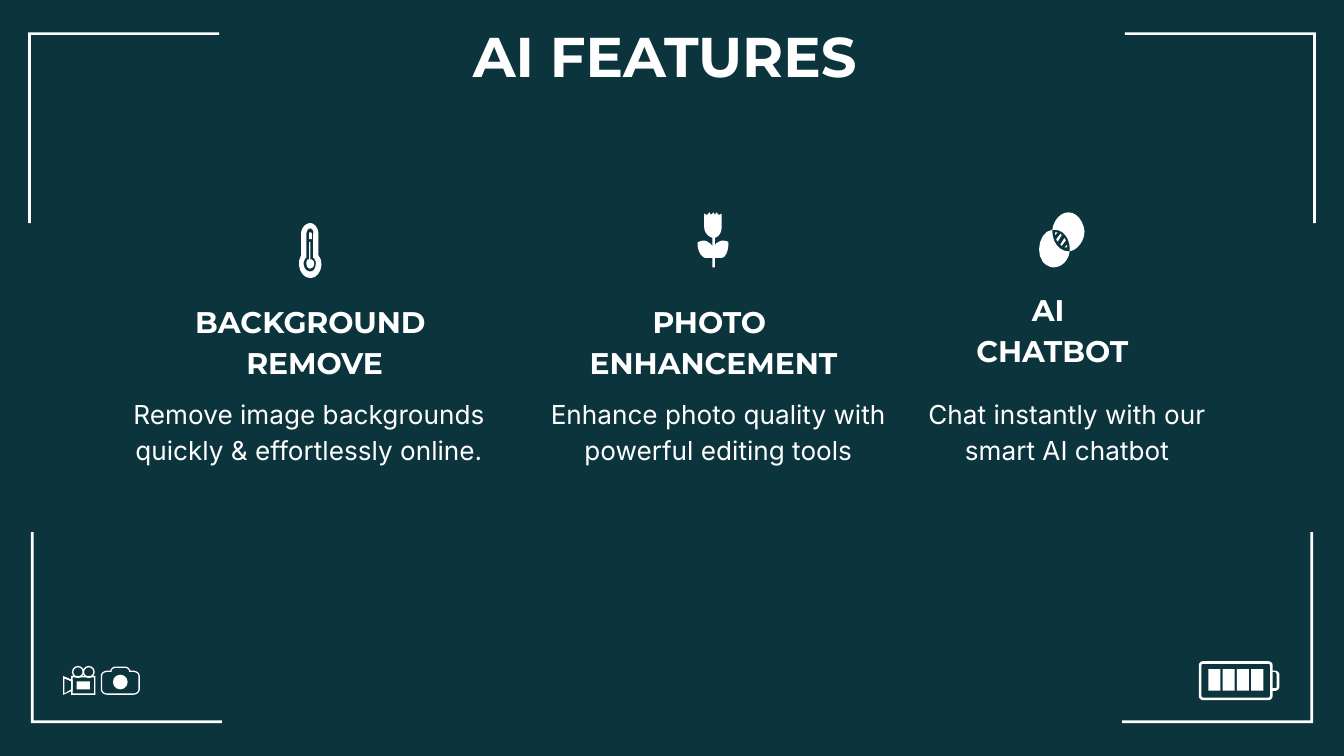
import pptx
import pptx.util
import pptx.dml.color
import pptx.enum.shapes
import pptx.enum.text

Inches = pptx.util.Inches
Pt = pptx.util.Pt
Kind = pptx.enum.shapes.MSO_SHAPE
Anchor = pptx.enum.text.MSO_ANCHOR

THEME = {
    "back": pptx.dml.color.RGBColor.from_string("0C343D"),
    "ink": pptx.dml.color.RGBColor.from_string("FFFFFF"),
    "title": {"font": "Montserrat", "size": 30, "bold": True},
    "head": {"font": "Montserrat", "size": 16, "bold": True, "space": 1.15, "anchor": Anchor.BOTTOM},
    "body": {"font": "Inter", "size": 14, "space": 1.15},
}

WIDE = 10
HIGH = WIDE * 9 / 16

TITLE = (["AI FEATURES "], (0.79, 0.06, 8.43, 0.63))
COLUMNS = [
    {
        "head": (["BACKGROUND", " REMOVE"], (0.79, 2.36, 3.04, 0.57)),
        "body": (["Remove image backgrounds quickly & effortlessly online."], (0.86, 2.83, 2.88, 1.24)),
    },
    {
        "head": (["PHOTO ", "ENHANCEMENT"], (3.83, 2.36, 2.96, 0.57)),
        "body": (["Enhance photo quality with powerful editing tools"], (3.67, 2.83, 3.35, 1.55)),
    },
    {
        "head": (["AI ", "CHATBOT"], (6.5, 2.14, 2.66, 0.7)),
        "body": (["Chat instantly with our smart AI chatbot"], (6.61, 2.83, 2.66, 1.24)),
    },
]

CORNERS = [(0.21, 0.24, 1, 1), (9.79, 0.24, -1, 1), (0.23, 5.38, 1, -1), (9.77, 5.38, -1, -1)]
ARM, THICK = 1.42, 0.02

CAMERA = [
    "M .93 4.97 C .94 4.97 .96 4.98 .96 4.99 L .96 5 L .99 5 C 1.01 5 1.03 5.01 1.03 5.03 "
    "L 1.03 5.13 C 1.03 5.15 1.01 5.16 .99 5.16 L .8 5.16 C .78 5.16 .76 5.15 .76 5.13 "
    "L .76 5.03 C .76 5.01 .78 5 .8 5 L .83 5 L .83 4.99 C .83 4.98 .85 4.97 .86 4.97 "
    "M .86 4.96 C .84 4.96 .83 4.97 .82 4.99 L .8 4.99 C .77 4.99 .75 5.01 .75 5.03 "
    "L .75 5.13 C .75 5.15 .77 5.17 .8 5.17 L .99 5.17 C 1.02 5.17 1.04 5.15 1.04 5.13 "
    "L 1.04 5.03 C 1.04 5.01 1.02 4.99 .99 4.99 L .97 4.99 C .96 4.97 .95 4.96 .93 4.96",
]
VIDEO = [
    "M .48 5.05 L .53 5.07 L .53 5.13 L .48 5.16 M .47 5.03 L .47 5.17 L .54 5.14 L .54 5.06",
    "M .7 5.04 L .7 5.16 L .54 5.16 L .54 5.04 M .53 5.03 L .53 5.17 L .71 5.17 L .71 5.03",
]
BATTERY = [
    "M 9.46 4.99 L 9.46 5 L 9.49 5 C 9.49 5 9.5 5.01 9.5 5.02 L 9.5 5.11 C 9.5 5.12 9.49 5.12 9.49 5.12 "
    "L 9.46 5.12 L 9.46 5.14 L 9.49 5.14 C 9.5 5.14 9.52 5.13 9.52 5.11 L 9.52 5.02 C 9.52 5 9.5 4.99 9.49 4.99",
]
CIRCLES = [
    "M 7.89 1.74 L 7.86 1.78 C 7.86 1.79 7.87 1.79 7.87 1.8 L 7.9 1.75 C 7.9 1.75 7.89 1.74 7.89 1.74",
    "M 7.94 1.82 L 7.92 1.84 C 7.93 1.84 7.93 1.84 7.94 1.84 C 7.94 1.83 7.94 1.83 7.94 1.82",
    "M 7.95 1.58 C 7.89 1.58 7.84 1.64 7.83 1.71 L 7.85 1.71 C 7.91 1.71 7.96 1.77 7.96 1.85 "
    "L 7.96 1.87 C 8.02 1.86 8.07 1.79 8.07 1.72 C 8.06 1.64 8.01 1.58 7.95 1.58",
    "M 7.85 1.73 C 7.85 1.74 7.85 1.74 7.85 1.75 L 7.87 1.73 C 7.86 1.73 7.86 1.73 7.85 1.73",
    "M 7.92 1.77 L 7.89 1.82 C 7.89 1.82 7.9 1.83 7.9 1.83 L 7.93 1.79 C 7.93 1.78 7.92 1.78 7.92 1.77",
    "M 7.83 1.71 C 7.74 1.72 7.7 1.87 7.76 1.95 C 7.79 1.98 7.82 1.99 7.84 1.99 "
    "C 7.9 1.99 7.95 1.94 7.96 1.87 L 7.95 1.87 C 7.88 1.87 7.83 1.8 7.83 1.72",
]
GAUGE = [
    "M 2.31 1.73 C 2.3 1.73 2.3 1.73 2.3 1.74 L 2.3 1.78 L 2.32 1.78 L 2.32 1.74 C 2.32 1.73 2.31 1.73 2.31 1.73",
    "M 2.31 1.7 C 2.32 1.7 2.34 1.72 2.33 1.74 L 2.33 1.92 C 2.34 1.92 2.34 1.92 2.34 1.93 "
    "C 2.35 1.94 2.35 1.95 2.35 1.96 C 2.35 2 2.33 2.02 2.31 2.02 C 2.29 2.02 2.28 2.01 2.27 2 "
    "C 2.26 1.98 2.25 1.95 2.27 1.93 C 2.27 1.92 2.27 1.92 2.28 1.92 L 2.28 1.74 C 2.28 1.72 2.29 1.7 2.31 1.7 "
    "M 2.31 1.66 C 2.27 1.66 2.24 1.7 2.24 1.74 L 2.24 1.9 C 2.2 1.97 2.24 2.07 2.31 2.07 "
    "C 2.38 2.07 2.42 1.96 2.37 1.9 L 2.37 1.74 C 2.37 1.7 2.34 1.66 2.31 1.66",
    "M 2.3 1.8 L 2.3 1.93 L 2.29 1.93 C 2.27 1.95 2.28 2 2.31 2 C 2.31 2 2.32 1.99 2.33 1.99 "
    "C 2.34 1.97 2.34 1.95 2.33 1.94 C 2.33 1.94 2.32 1.93 2.32 1.93 L 2.31 1.93 L 2.31 1.8",
]
TULIP = [
    "M 5.28 1.58 L 5.26 1.6 L 5.24 1.59 L 5.24 1.69 C 5.24 1.73 5.27 1.76 5.3 1.77 L 5.3 1.83 "
    "C 5.29 1.82 5.29 1.81 5.28 1.81 C 5.27 1.8 5.25 1.79 5.24 1.79 C 5.22 1.79 5.2 1.8 5.2 1.8 "
    "L 5.19 1.8 L 5.19 1.81 C 5.19 1.82 5.19 1.88 5.23 1.91 C 5.24 1.92 5.25 1.92 5.27 1.92 "
    "C 5.28 1.92 5.29 1.92 5.3 1.92 L 5.3 1.99 L 5.32 1.99 L 5.32 1.92 C 5.33 1.92 5.33 1.92 5.34 1.92 "
    "C 5.36 1.92 5.38 1.92 5.39 1.91 C 5.42 1.88 5.42 1.82 5.42 1.81 L 5.42 1.8 "
    "C 5.42 1.8 5.4 1.79 5.38 1.79 C 5.36 1.79 5.35 1.8 5.33 1.81 C 5.33 1.81 5.32 1.82 5.32 1.83 "
    "L 5.32 1.77 C 5.35 1.76 5.37 1.73 5.37 1.69 L 5.37 1.59 L 5.35 1.6 L 5.33 1.58 L 5.32 1.6 "
    "L 5.31 1.58 L 5.29 1.6",
]
OVAL, RECT, ROUND = Kind.OVAL, Kind.RECTANGLE, Kind.ROUNDED_RECTANGLE
PARTS = [
    (OVAL, (0.84, 5.02, 0.11, 0.11), None),
    (RECT, (0.57, 5.07, 0.1, 0.06), None),
    (OVAL, (0.54, 4.96, 0.08, 0.08), 0.75),
    (OVAL, (0.62, 4.96, 0.08, 0.08), 0.75),
    (ROUND, (8.93, 4.93, 0.53, 0.27), 1.4),
]
CELLS, FIRST, LAST = 4, 8.99, 9.31
STEPS = 6


def paint(shape, line=None):
    shape.shadow.inherit = False
    if line:
        shape.fill.background()
        shape.line.color.rgb = THEME["ink"]
        shape.line.width = Pt(line)
    else:
        shape.fill.solid()
        shape.fill.fore_color.rgb = THEME["ink"]
        shape.line.fill.background()


def trace(rings):
    rings = [[(Inches(x), Inches(y)) for x, y in ring] for ring in rings]
    pen = slide.shapes.build_freeform(*rings[0][0], scale=1.0)
    for spot, ring in enumerate(rings):
        if spot:
            pen.move_to(*ring[0])
        pen.add_line_segments(ring[1:], close=True)
    paint(pen.convert_to_shape())


def curve(ends):
    for step in range(1, STEPS + 1):
        t = step / STEPS
        mix = ((1 - t) ** 3, 3 * t * (1 - t) ** 2, 3 * t * t * (1 - t), t ** 3)
        yield tuple(sum(m * end[axis] for m, end in zip(mix, ends)) for axis in (0, 1))


def outline(code):
    rings, words = [], iter(code.split())
    for mark in words:
        ends = [(float(next(words)), float(next(words))) for _ in range(3 if mark == "C" else 1)]
        if mark == "M":
            rings.append(ends)
        elif mark == "L":
            rings[-1] += ends
        else:
            rings[-1] += list(curve([rings[-1][-1]] + ends))
    return rings


def corner(x, y, dx, dy):
    steps = [(0, 0), (0, ARM), (THICK, ARM), (THICK, THICK), (ARM, THICK), (ARM, 0)]
    trace([[(x + dx * a, y + dy * b) for a, b in steps]])


def preset(kind, box, line=None):
    shape = slide.shapes.add_shape(kind, *map(Inches, box))
    if kind == ROUND:
        shape.adjustments[0] = 0.08
    paint(shape, line)


def write(lines, box, *, font, size, bold=False, space=1.0, anchor=Anchor.TOP):
    frame = slide.shapes.add_textbox(*map(Inches, box)).text_frame
    frame.word_wrap = True
    frame.vertical_anchor = anchor
    frame.margin_left = frame.margin_right = frame.margin_top = frame.margin_bottom = Inches(0.1)
    for spot, line in enumerate(lines):
        para = frame.add_paragraph() if spot else frame.paragraphs[0]
        para.alignment = pptx.enum.text.PP_ALIGN.CENTER
        para.line_spacing = space
        run = para.add_run()
        run.text = line
        run.font.name, run.font.size, run.font.bold = font, Pt(size), bold
        run.font.color.rgb = THEME["ink"]


deck = pptx.Presentation()
deck.slide_width, deck.slide_height = Inches(WIDE), Inches(HIGH)
slide = deck.slides.add_slide(deck.slide_layouts[6])
slide.background.fill.solid()
slide.background.fill.fore_color.rgb = THEME["back"]

for spot in CORNERS:
    corner(*spot)
for part in PARTS:
    preset(*part)
for cell in range(CELLS):
    preset(RECT, (FIRST + cell * (LAST - FIRST) / (CELLS - 1), 4.98, 0.09, 0.16))
for code in CAMERA + VIDEO + BATTERY:
    trace(outline(code))

write(*TITLE, **THEME["title"])
for role in ("body", "head"):
    for column in COLUMNS:
        write(*column[role], **THEME[role])
for code in CIRCLES + GAUGE + TULIP:
    trace(outline(code))

deck.save("out.pptx")
